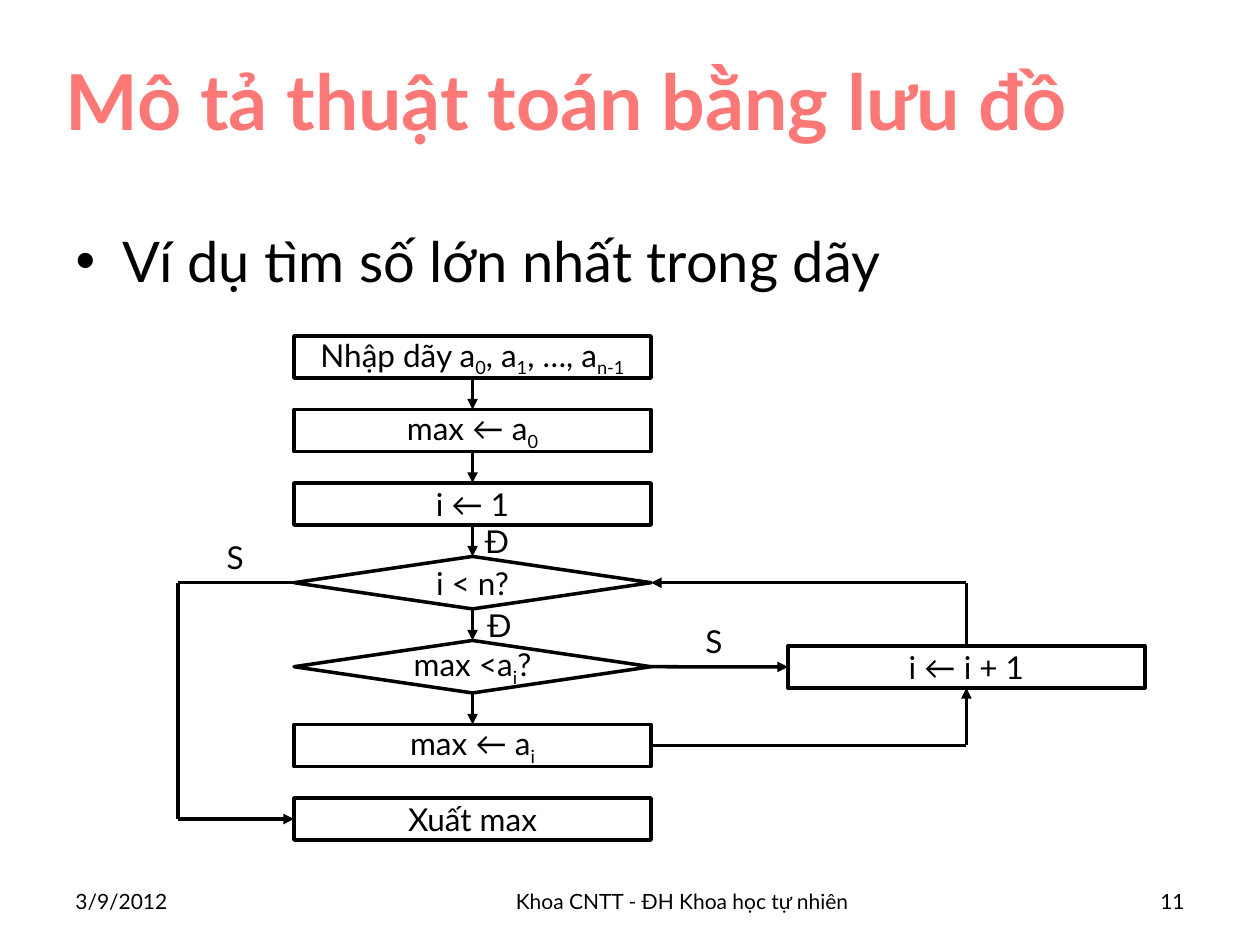
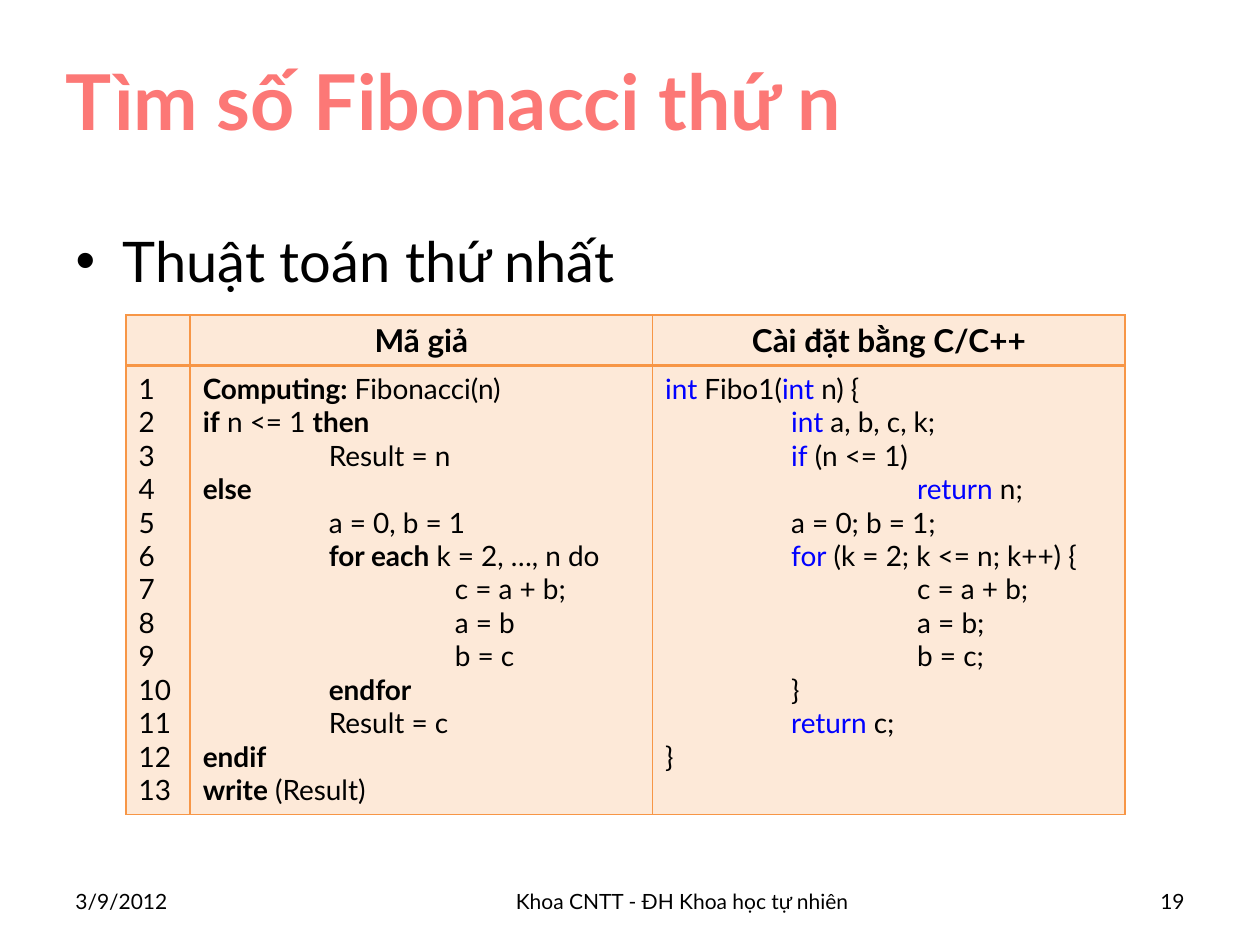
from lxml import etree
from pptx import Presentation
from pptx.dml.color import RGBColor
from pptx.enum.shapes import MSO_CONNECTOR, MSO_SHAPE
from pptx.enum.text import MSO_ANCHOR as ANCHOR, MSO_AUTO_SIZE, PP_ALIGN as ALIGN
from pptx.oxml.ns import qn
from pptx.util import Inches, Pt

FONT = "Lato"
BLACK, CORAL, BLUE = "000000", "FC7876", "0000FF"
ORANGE, PEACH = "F79646", "FDE9D8"
DATE, FOOTER = "3/9/2012", "Khoa CNTT - ĐH Khoa học tự nhiên"
TOP, LEFT, BOTTOM, RIGHT = range(4)
RECT, DIAMOND = MSO_SHAPE.RECTANGLE, MSO_SHAPE.DIAMOND
STEP_HEIGHT = {RECT: 1 / 3, DIAMOND: 5 / 12}

FLOW = [
    (RECT, "Nhập dãy a|0|, a|1|, …, a|n-1"),
    (RECT, "max ← a|0"),
    (RECT, "i ← 1"),
    (DIAMOND, "i < n?"),
    (DIAMOND, "max <a|i|?"),
    (RECT, "max ← a|i"),
    (RECT, "Xuất max"),
]
BRANCH_LABELS = [("S", 1.7, 4.22), ("S", 5.5, 4.89),
                 ("Đ", 3.75, 4.09), ("Đ", 3.77, 4.76)]

PSEUDOCODE = """|Computing: |Fibonacci(n)
|if| n <= 1 |then
\tResult = n
|else
\ta = 0, b = 1
\t|for each| k = 2, …, n do
\t\tc = a + b;
\t\ta = b
\t\tb = c
\t|endfor
\tResult = c
|endif
|write| (Result)"""

C_CODE = """|int| Fibo1(|int| n) {
\t|int| a, b, c, k;
\t|if| (n <= 1)
\t\t|return| n;
\ta = 0; b = 1;
\t|for| (k = 2; k <= n; k++) {
\t\tc = a + b;
\t\ta = b;
\t\tb = c;
\t}
\t|return| c;
}"""


def rgb(value):
    return RGBColor.from_string(value)


def add_tab_stops(p, count):
    """Put tab stops one inch apart."""
    tabs = etree.SubElement(p._p.get_or_add_pPr(), qn("a:tabLst"))
    for n in range(1, count + 1):
        etree.SubElement(tabs, qn("a:tab"), pos=str(Inches(n)), algn="l")


def write(tf, text, size, align=ALIGN.LEFT, color=BLACK, bold=False, marked=None):
    """Write one paragraph a line; every second piece between bars gets the marked format."""
    tf.word_wrap = True
    for i, line in enumerate(text.split("\n")):
        p = tf.paragraphs[0] if i == 0 else tf.add_paragraph()
        p.alignment = align
        p.space_before = Pt(0)
        if "\t" in line:
            add_tab_stops(p, line.count("\t"))
        for j, piece in enumerate(line.split("|")):
            if not piece:
                continue
            r = p.add_run()
            r.text = piece
            look = {"name": FONT, "size": Pt(size), "bold": bold, "color": color}
            if j % 2:
                look.update(marked)
            r.font.color.rgb = rgb(look.pop("color"))
            baseline = look.pop("baseline", None)
            for name, value in look.items():
                setattr(r.font, name, value)
            if baseline:
                r.font._element.set("baseline", baseline)


def place(sp, x, y, w, h):
    sp.left, sp.top, sp.width, sp.height = map(Inches, (x, y, w, h))


def add_text(s, text, box, size, align=ALIGN.LEFT, anchor=ANCHOR.TOP):
    tf = s.shapes.add_textbox(*map(Inches, box)).text_frame
    tf.vertical_anchor = anchor
    write(tf, text, size, align)


def base_slide(prs, title, bullet, number):
    """Add a slide with its title, bullet and footer row."""
    s = prs.slides.add_slide(prs.slide_layouts[1])
    head, body = s.shapes.title, s.placeholders[1]
    place(head, 0.42, 0.17, 9.42, 1.25)
    place(body, 0.5, 1.75, 9, 4.95)
    for sp in (head, body):
        sp.text_frame.auto_size = MSO_AUTO_SIZE.NONE
    head.text_frame.vertical_anchor = ANCHOR.MIDDLE
    write(head.text_frame, title, 44, color=CORAL, bold=True)
    write(body.text_frame, bullet, 32)
    for text, x, w, align in ((DATE, 0.5, 1.08, ALIGN.LEFT),
                              (FOOTER, 2.08, 6.67, ALIGN.CENTER),
                              (str(number), 8.92, 0.58, ALIGN.RIGHT)):
        add_text(s, text, (x, 6.95, w, 0.4), 12, align, ANCHOR.MIDDLE)
    return s


def add_step(s, kind, text, x, y, w):
    sp = s.shapes.add_shape(kind, *map(Inches, (x, y, w, STEP_HEIGHT[kind])))
    sp.shadow.inherit = False
    sp.fill.background()
    sp.line.color.rgb = rgb(BLACK)
    sp.line.width = Pt(2)
    sp.text_frame.vertical_anchor = ANCHOR.MIDDLE
    write(sp.text_frame, text, 18, ALIGN.CENTER, marked={"baseline": "-25000"})
    return sp


def site(sp, side):
    """Return the middle of one side of a shape."""
    across, down = {TOP: (1, 0), LEFT: (0, 1), BOTTOM: (1, 2), RIGHT: (2, 1)}[side]
    return sp.left + sp.width * across // 2, sp.top + sp.height * down // 2


def route(s, begin, end, bends=()):
    """Draw straight lines from one shape side over the bends to another, with an arrow."""
    points = [site(*begin), *bends, site(*end)]
    lines = []
    for a, b in zip(points, points[1:]):
        line = s.shapes.add_connector(MSO_CONNECTOR.STRAIGHT, *a, *b)
        line.line.color.rgb = rgb(BLACK)
        line.line.width = Pt(2)
        lines.append(line)
    lines[0].begin_connect(*begin)
    lines[-1].end_connect(*end)
    etree.SubElement(lines[-1].line._get_or_add_ln(), qn("a:tailEnd"), type="triangle")
    for line in lines:
        etree.SubElement(line._element.spPr, qn("a:effectLst"))


def flowchart(s, x, y, w, gap=0.25):
    steps, top = [], y
    for kind, text in FLOW:
        steps.append(add_step(s, kind, text, x, top, w))
        top += STEP_HEIGHT[kind] + gap
    loop_test, compare, assign, output = steps[3:]
    increment = add_step(s, RECT, "i ← i + 1", x + 3.92, y + 2.46, w)

    for above, below in zip(steps[:5], steps[1:6]):
        route(s, (above, BOTTOM), (below, TOP))
    route(s, (compare, RIGHT), (increment, LEFT))
    loop_x = site(increment, TOP)[0]
    test_y = site(loop_test, LEFT)[1]
    exit_x = Inches(x - 0.92)
    route(s, (increment, TOP), (loop_test, RIGHT), [(loop_x, test_y)])
    route(s, (assign, RIGHT), (increment, BOTTOM), [(loop_x, site(assign, RIGHT)[1])])
    route(s, (loop_test, LEFT), (output, LEFT),
          [(exit_x, test_y), (exit_x, site(output, LEFT)[1])])


def set_borders(cell, bottom):
    tc_pr = cell._tc.get_or_add_tcPr()
    for i, (tag, width) in enumerate((("lnL", 1), ("lnR", 1), ("lnT", 1), ("lnB", bottom))):
        ln = etree.Element(qn(f"a:{tag}"), w=str(Pt(width)))
        fill = etree.SubElement(ln, qn("a:solidFill"))
        etree.SubElement(fill, qn("a:srgbClr"), val=ORANGE)
        tc_pr.insert(i, ln)


def code_table(s, x, y, widths, heights):
    """Add the table that sets pseudocode beside its C code."""
    frame = s.shapes.add_table(2, 3, *map(Inches, (x, y, sum(widths), sum(heights))))
    table = frame.table
    table.first_row = table.horz_banding = False
    for column, w in zip(table.columns, widths):
        column.width = Inches(w)
    for row, h in zip(table.rows, heights):
        row.height = Inches(h)
    numbers = "\n".join(str(n) for n in range(1, 14))
    contents = [
        ("", "Mã giả", "Cài đặt bằng C/C++"),
        (numbers, PSEUDOCODE, C_CODE),
    ]
    marks = [None, {"bold": True}, {"color": BLUE}]
    for i, texts in enumerate(contents):
        header = i == 0
        for j, text in enumerate(texts):
            cell = table.cell(i, j)
            cell.fill.solid()
            cell.fill.fore_color.rgb = rgb(PEACH)
            set_borders(cell, 2 if header else 1)
            if header:
                write(cell.text_frame, text, 18, ALIGN.CENTER, bold=True)
            else:
                write(cell.text_frame, text, 16, marked=marks[j])


def flowchart_slide(prs):
    s = base_slide(prs, "Mô tả thuật toán bằng lưu đồ", "Ví dụ tìm số lớn nhất trong dãy", 11)
    flowchart(s, 7 / 3, 8 / 3, 17 / 6)
    for text, x, y in BRANCH_LABELS:
        add_text(s, text, (x, y, 0.38, 0.4), 18)


def fibonacci_slide(prs):
    s = base_slide(prs, "Tìm số Fibonacci thứ n", "Thuật toán thứ nhất", 19)
    code_table(s, 1, 2.5, (0.51, 3.67, 3.75), (0.4, 3.5))


def main():
    prs = Presentation()
    prs.slide_width, prs.slide_height = Inches(10), Inches(7.5)
    flowchart_slide(prs)
    fibonacci_slide(prs)
    prs.save("out.pptx")


if __name__ == "__main__":
    main()
